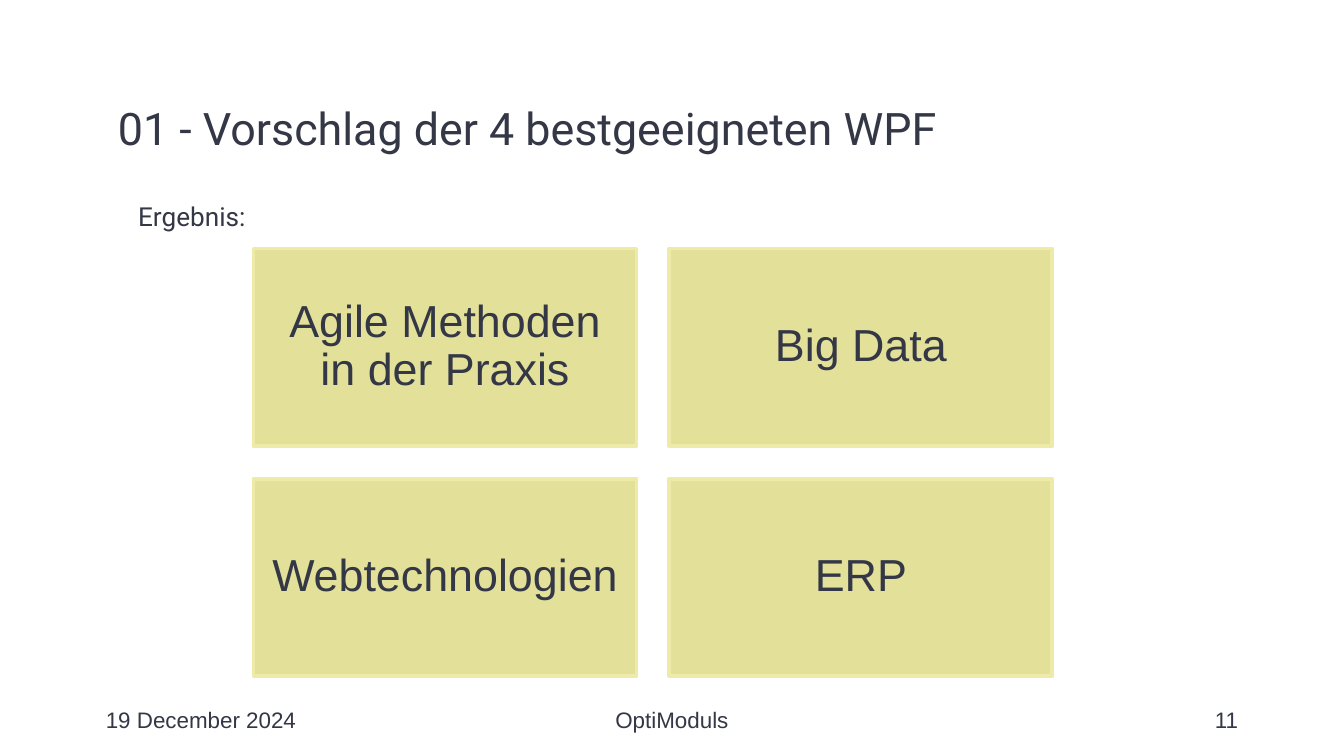
from pptx import Presentation
from pptx.dml.color import RGBColor
from pptx.enum.shapes import MSO_SHAPE as Shape
from pptx.enum.text import MSO_ANCHOR as Anchor, MSO_AUTO_SIZE as AutoSize, PP_ALIGN as Align
from pptx.oxml.ns import qn
from pptx.util import Cm, Pt

# Content
TITLE = "01 - Vorschlag der 4 bestgeeigneten WPF"
RESULT = "Ergebnis:"
MODULES = [
    ["Agile Methoden in der Praxis", "Big Data"],
    ["Webtechnologien", "ERP"],
]
FOOTER = [  # text, left, width, alignment
    ("19 December 2024", 1.75, 5.72, Align.LEFT),
    ("OptiModuls", 8.41, 8.58, Align.CENTER),
    ("11", 17.93, 5.72, Align.RIGHT),
]

# Style and grid, lengths in cm
INK, CARD_FILL, CARD_LINE = "333746", "E3E09A", "EDEBA7"
MARGIN, TEXT_WIDTH, INSET = 1.98, 21.44, 0.25
GRID_LEFT, GRID_TOP = 4.79, 4.7
CARD_WIDTH, CARD_HEIGHT, GAP = 7.24, 3.73, 0.62


def color(value):
    return RGBColor.from_string(value)


def place(box, left, top, width, height):
    box.left, box.top, box.width, box.height = map(Cm, (left, top, width, height))


def write(box, text, size, font, align=Align.LEFT, anchor=Anchor.TOP,
          spacing=1.0, inset=INSET):
    frame = box.text_frame
    frame.word_wrap = True
    frame.auto_size = AutoSize.NONE
    frame.vertical_anchor = anchor
    frame.margin_left = frame.margin_right = Cm(INSET)
    frame.margin_top = frame.margin_bottom = Cm(inset)
    para = frame.paragraphs[0]
    para.alignment, para.line_spacing = align, spacing
    para.space_before = Pt(0)
    span = para.add_run()
    span.text = text
    span.font.size, span.font.name = Pt(size), font
    span.font.color.rgb = color(INK)
    return para


deck = Presentation()
deck.slide_width, deck.slide_height = Cm(25.4), Cm(14.29)
page = deck.slides.add_slide(deck.slide_layouts[1])

# Title and body
title, body = page.shapes.title, page.placeholders[1]
place(title, MARGIN, 1.5, TEXT_WIDTH, 1.95)
write(title, TITLE, 24, "Roboto", spacing=1.15)
place(body, MARGIN, 3.45, TEXT_WIDTH, 9.35)
para = write(body, RESULT, 14, "Roboto", spacing=1.15)
properties = para._p.get_or_add_pPr()
properties.set("marL", str(Cm(0.38)))
properties.set("indent", "0")
properties.append(properties.makeelement(qn("a:buNone"), {}))

# Module cards
for row, names in enumerate(MODULES):
    for column, name in enumerate(names):
        left = GRID_LEFT + column * (CARD_WIDTH + GAP)
        top = GRID_TOP + row * (CARD_HEIGHT + GAP)
        card = page.shapes.add_shape(
            Shape.RECTANGLE, Cm(left), Cm(top), Cm(CARD_WIDTH), Cm(CARD_HEIGHT))
        card.shadow.inherit = False
        card.fill.solid()
        card.fill.fore_color.rgb = color(CARD_FILL)
        card.line.color.rgb = color(CARD_LINE)
        card.line.width = Pt(2)
        write(card, name, 24, "Arial", Align.CENTER, Anchor.MIDDLE, spacing=0.9)

# Footer
for text, left, width, align in FOOTER:
    box = page.shapes.add_textbox(Cm(left), Cm(13.23), Cm(width), Cm(0.76))
    write(box, text, 12, "Arial", align, Anchor.MIDDLE, inset=0.13)

deck.save("out.pptx")
